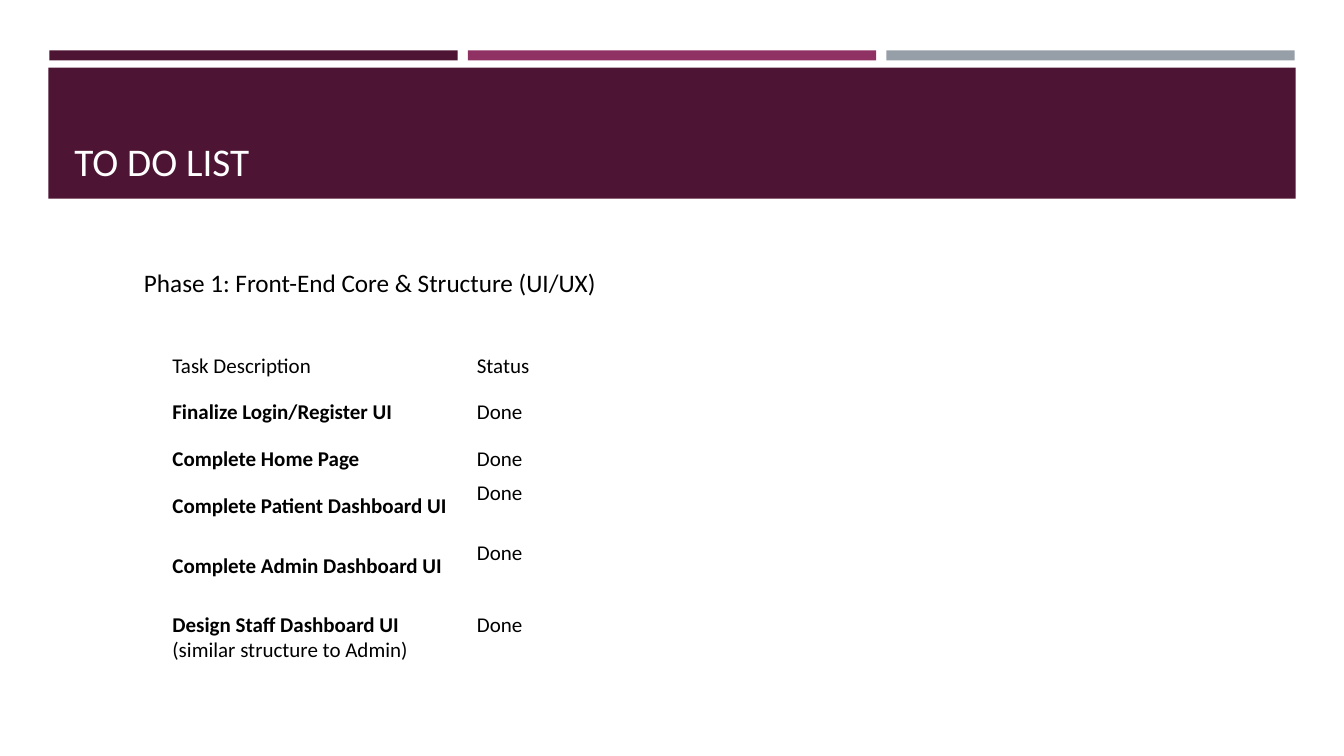
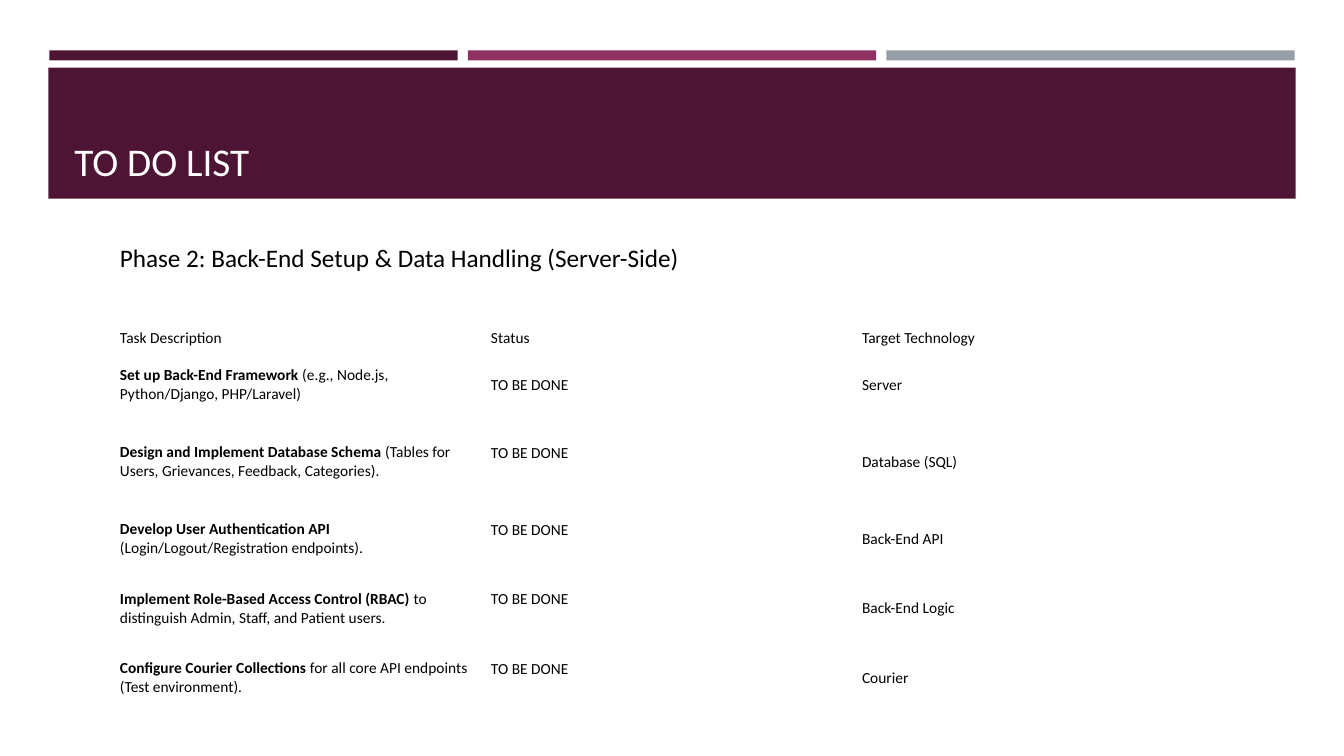
from pptx import Presentation
from pptx.dml.color import RGBColor as Rgb
from pptx.enum.shapes import MSO_SHAPE as Shape
from pptx.enum.text import MSO_ANCHOR as Anchor
from pptx.util import Inches, Pt
from lxml.etree import SubElement
from pptx.oxml.ns import qn

FONT = "Calibri"
PLUM, ROSE, GRAY = "4D1434", "903163", "969FA7"
WHITE, BLACK = "FFFFFF", "000000"
TITLE = "TO DO LIST"
DONE, OPEN = "Done", "TO BE DONE"

PAGES = [
    {
        "head": "Phase 1: Front-End Core & Structure (UI/UX)",
        "spot": (1.33, 2.6),
        "table": (1.42, 3.46),
        "cols": (0.21, 3.02, 3.02, 3.02),
        "heights": (0.34, 0.59, 0.34, 0.59, 0.59, 0.84),
        "size": 15,
        "inset": (0.08, 0.04),
        "lift": 3,
        "rows": [
            (("", "Task Description"), "Status", ""),
            (("Finalize Login/Register UI", ""), DONE, ""),
            (("Complete Home Page", ""), DONE, ""),
            (("Complete Patient Dashboard UI", ""), DONE, ""),
            (("Complete Admin Dashboard UI", ""), DONE, ""),
            (("Design Staff Dashboard UI", " (similar structure to Admin)"), DONE, ""),
        ],
    },
    {
        "head": "Phase 2: Back-End Setup & Data Handling (Server-Side)",
        "spot": (1.09, 2.35),
        "table": (0.96, 3.23),
        "cols": (0.18, 3.68, 3.68, 3.68),
        "heights": (0.22, 0.69, 0.84, 0.69, 0.69, 0.69),
        "size": 11,
        "inset": (0.05, 0.03),
        "lift": 2,
        "rows": [
            (("", "Task Description"), "Status", "Target Technology"),
            (("Set up Back-End Framework", " (e.g., Node.js, Python/Django, PHP/Laravel)"),
             OPEN, "Server"),
            (("Design and Implement Database Schema",
              " (Tables for Users, Grievances, Feedback, Categories)."),
             OPEN, "Database (SQL)"),
            (("Develop User Authentication API", " (Login/Logout/Registration endpoints)."),
             OPEN, "Back-End API"),
            (("Implement Role-Based Access Control (RBAC)",
              " to distinguish Admin, Staff, and Patient users."),
             OPEN, "Back-End Logic"),
            (("Configure Courier Collections", " for all core API endpoints (Test environment)."),
             OPEN, "Courier"),
        ],
    },
]


def paint(hue):
    return Rgb.from_string(hue)


def write(para, text, size, hue=BLACK, bold=False):
    run = para.add_run()
    run.text = text
    font = run.font
    font.name, font.size, font.bold = FONT, Pt(size), bold
    font.color.rgb = paint(hue)


def band(slide, box, hue):
    rect = slide.shapes.add_shape(Shape.RECTANGLE, *map(Inches, box))
    rect.shadow.inherit = False
    rect.fill.solid()
    rect.fill.fore_color.rgb = paint(hue)
    rect.line.fill.background()


def label(slide, box, text, size, hue=BLACK, anchor=Anchor.TOP):
    frame = slide.shapes.add_textbox(*map(Inches, box)).text_frame
    frame.word_wrap = True
    frame.vertical_anchor = anchor
    write(frame.paragraphs[0], text, size, hue)


def frame_page(slide):
    for i, hue in enumerate((PLUM, ROSE, GRAY)):
        band(slide, (0.49 + i * 4.15, 0.5, 4.05, 0.1), hue)
    band(slide, (0.48, 0.67, 12.37, 1.3), PLUM)
    label(slide, (0.64, 0.77, 12.06, 1.11), TITLE, 28, WHITE, Anchor.BOTTOM)


def fill_cell(cell, parts, size, inset, lift):
    side, edge = inset
    cell.fill.background()
    cell.vertical_anchor = Anchor.MIDDLE
    cell.margin_left = cell.margin_right = Inches(side)
    cell.margin_top = Inches(edge)
    cell.margin_bottom = Inches(edge + lift)
    para = cell.text_frame.paragraphs[0]
    for text, bold in parts:
        if text:
            write(para, text, size, bold=bold)
    if not para.runs:
        SubElement(para._p, qn("a:endParaRPr")).set("sz", str(size * 100))


def add_tasks(slide, page):
    cols, highs, size = page["cols"], page["heights"], page["size"]
    box = (*page["table"], sum(cols), sum(highs))
    table = slide.shapes.add_table(len(highs), len(cols), *map(Inches, box)).table
    table.first_row = table.horz_banding = False
    for col, wide in zip(table.columns, cols):
        col.width = Inches(wide)
    line = size * 1.2 / 72
    for r, (task, status, tech) in enumerate(page["rows"]):
        table.rows[r].height = Inches(highs[r])
        bold, plain = task
        cells = ([], [(bold, True), (plain, False)], [(status, False)], [(tech, False)])
        for c, parts in enumerate(cells):
            lift = line if c == 2 and r >= page["lift"] else 0
            fill_cell(table.cell(r, c), parts, size, page["inset"], lift)


def main():
    deck = Presentation()
    deck.slide_width, deck.slide_height = Inches(13.33), Inches(7.5)
    for page in PAGES:
        slide = deck.slides.add_slide(deck.slide_layouts[6])
        frame_page(slide)
        add_tasks(slide, page)
        label(slide, (*page["spot"], 6.67, 0.4), page["head"], 18)
    deck.save("out.pptx")


if __name__ == "__main__":
    main()
